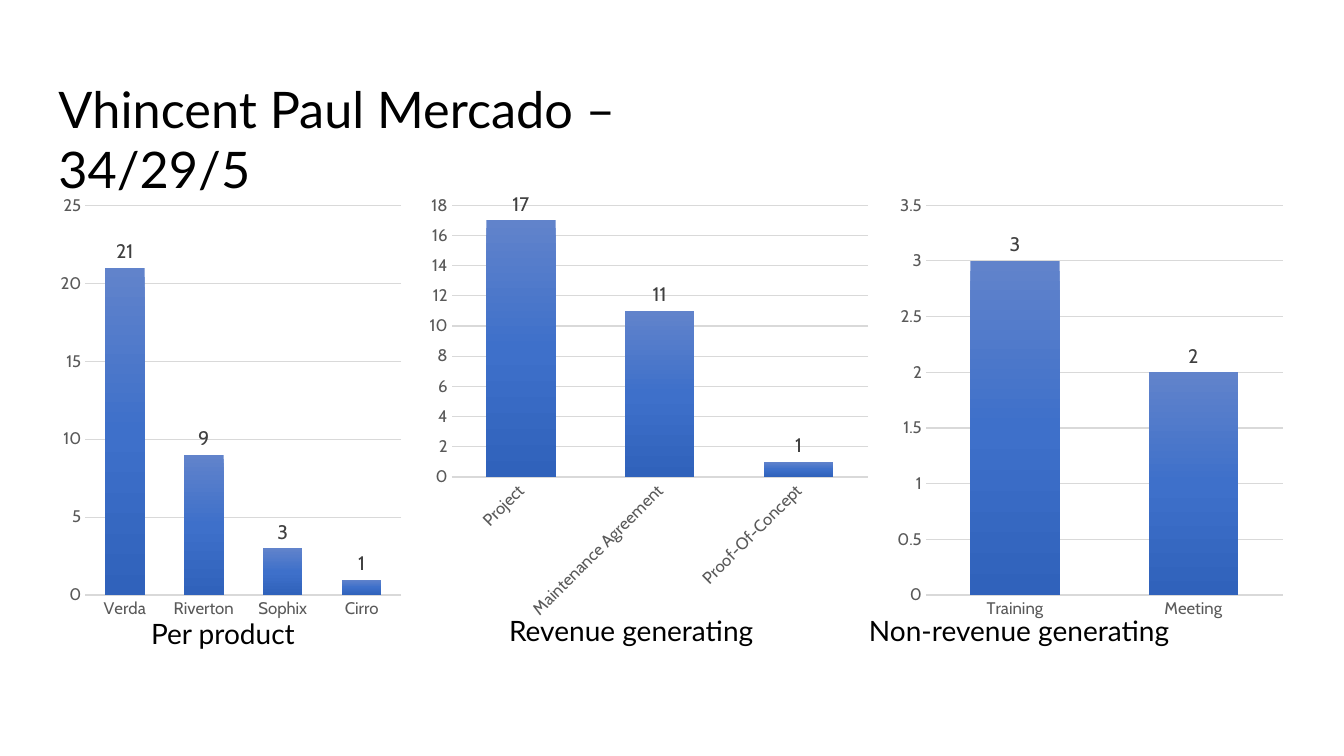
from copy import deepcopy

from pptx import Presentation
from pptx.chart.data import CategoryChartData
from pptx.dml.color import RGBColor
from pptx.enum.chart import XL_CHART_TYPE, XL_LABEL_POSITION, XL_TICK_MARK
from pptx.enum.text import MSO_ANCHOR, PP_ALIGN
from pptx.oxml.ns import qn
from pptx.util import Inches, Pt

COLUMNS = XL_CHART_TYPE.COLUMN_CLUSTERED
OUTSIDE_END = XL_LABEL_POSITION.OUTSIDE_END
NO_TICK = XL_TICK_MARK.NONE
TOP, LEFT = MSO_ANCHOR.TOP, PP_ALIGN.LEFT

TITLE = "Vhincent Paul Mercado – 34/29/5"
TITLE_BOX = (0.48, 0.72, 7.68, 0.71)
CHART_TOP, CHART_HEIGHT = 1.85, 4.38
CAPTION_HEIGHT = 0.44

# Chart and caption positions are in inches.
PANELS = [
    {"values": {"Verda": 21, "Riverton": 9, "Sophix": 3, "Cirro": 1},
     "chart_left": 0.53, "chart_width": 3.52,
     "caption": "Per product", "caption_box": (1.4, 6.07, 1.74, CAPTION_HEIGHT)},
    {"values": {"Project": 17, "Maintenance Agreement": 11, "Proof-Of-Concept": 1},
     "chart_left": 4.17, "chart_width": 4.53,
     "caption": "Revenue generating", "caption_box": (4.95, 6.04, 2.89, CAPTION_HEIGHT)},
    {"values": {"Training": 3, "Meeting": 2},
     "chart_left": 8.82, "chart_width": 3.98,
     "caption": "Non-revenue generating", "caption_box": (8.52, 6.04, 3.48, CAPTION_HEIGHT)},
]


class Theme:
    text_font, chart_font = "Lato", "Cabin"
    black, axis_text, label_text, grid = "000000", "595959", "404040", "D9D9D9"
    bar_stops = [(0, "6183CB"), (0.5, "3E70CA"), (1, "3062BB")]
    title_size, caption_size = 36, 20
    chart_size, axis_size, label_size = 10, 12, 14
    axis_width, grid_width = 1, 0.75


def style_font(font, name, size, color):
    font.name = name
    font.size = Pt(size)
    font.color.rgb = RGBColor.from_string(color)


def style_line(line, width):
    line.color.rgb = RGBColor.from_string(Theme.grid)
    line.width = Pt(width)


def write_text(text_frame, text, size):
    text_frame.word_wrap = True
    text_frame.vertical_anchor = TOP
    text_frame.text = text
    paragraph = text_frame.paragraphs[0]
    paragraph.alignment = LEFT
    style_font(paragraph.runs[0].font, Theme.text_font, size, Theme.black)


def fill_bars(series):
    """Fill the bars with a three-stop gradient running downwards."""
    fill = series.format.fill
    fill.gradient()
    fill.gradient_angle = 270
    stop_list = series.format.fill._xPr.find(".//" + qn("a:gsLst"))
    stop_list.insert(1, deepcopy(stop_list[0]))
    for stop, (position, color) in zip(fill.gradient_stops, Theme.bar_stops):
        stop.position = position
        stop.color.rgb = RGBColor.from_string(color)


def add_column_chart(slide, panel):
    chart_data = CategoryChartData()
    chart_data.categories = list(panel["values"])
    chart_data.add_series("Series 1", list(panel["values"].values()))
    chart = slide.shapes.add_chart(
        COLUMNS, Inches(panel["chart_left"]), Inches(CHART_TOP),
        Inches(panel["chart_width"]), Inches(CHART_HEIGHT), chart_data).chart
    chart.has_title = False
    chart.has_legend = False
    style_font(chart.font, Theme.chart_font, Theme.chart_size, Theme.black)

    for axis in (chart.category_axis, chart.value_axis):
        axis.major_tick_mark = axis.minor_tick_mark = NO_TICK
        style_font(axis.tick_labels.font, Theme.chart_font, Theme.axis_size, Theme.axis_text)
        # This rotation value lets the labels turn only when they lack room.
        axis._element.find(".//" + qn("a:bodyPr")).set("rot", "-60000000")
    style_line(chart.category_axis.format.line, Theme.axis_width)
    chart.value_axis.format.line.fill.background()
    chart.value_axis.has_major_gridlines = True
    style_line(chart.value_axis.major_gridlines.format.line, Theme.grid_width)

    plot = chart.plots[0]
    plot.vary_by_categories = False
    plot.gap_width = 100
    plot.overlap = -24
    fill_bars(plot.series[0])
    plot.has_data_labels = True
    labels = plot.data_labels
    labels.show_value = True
    labels.position = OUTSIDE_END
    style_font(labels.font, Theme.chart_font, Theme.label_size, Theme.label_text)


def main():
    presentation = Presentation()
    presentation.slide_width = Inches(13.33)
    presentation.slide_height = Inches(7.5)
    slide = presentation.slides.add_slide(presentation.slide_layouts.get_by_name("Title Only"))

    title = slide.shapes.title
    title.left, title.top, title.width, title.height = map(Inches, TITLE_BOX)
    write_text(title.text_frame, TITLE, Theme.title_size)

    for panel in PANELS:
        add_column_chart(slide, panel)
    for panel in PANELS:
        caption = slide.shapes.add_textbox(*map(Inches, panel["caption_box"]))
        write_text(caption.text_frame, panel["caption"], Theme.caption_size)

    presentation.save("out.pptx")


if __name__ == "__main__":
    main()
